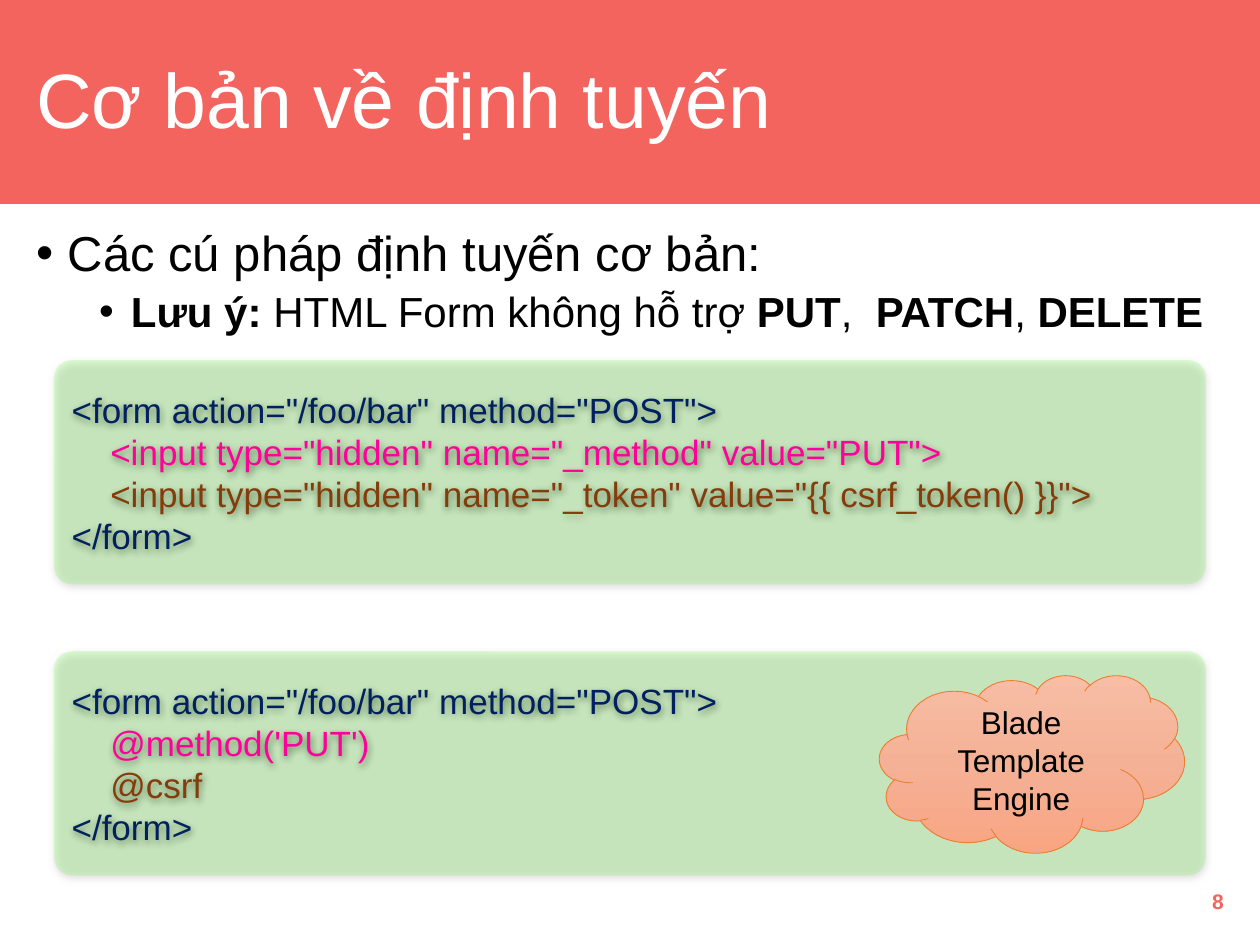
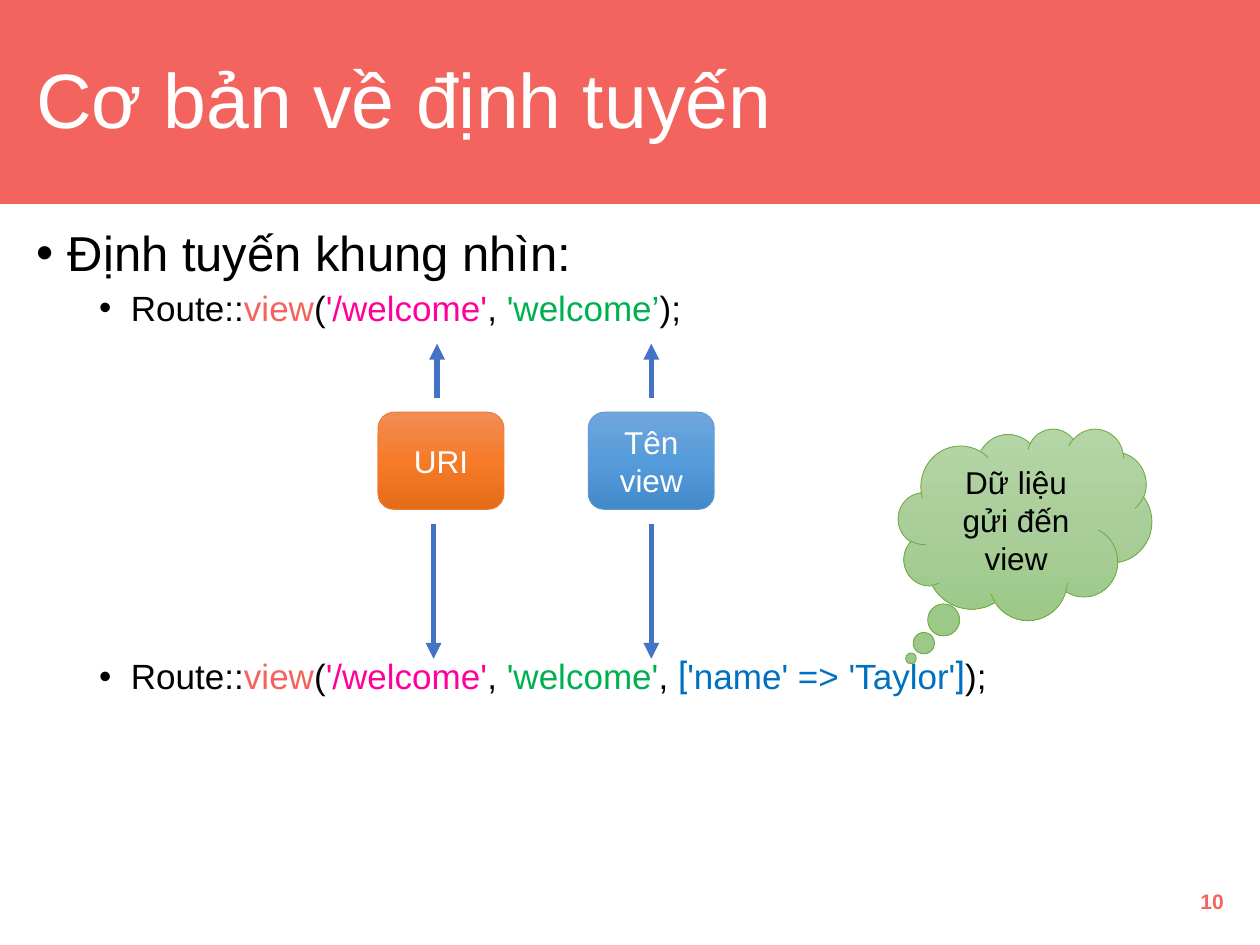
from lxml import etree
from pptx import Presentation
from pptx.dml.color import RGBColor
from pptx.enum.shapes import MSO_CONNECTOR, MSO_SHAPE
from pptx.enum.text import MSO_ANCHOR, MSO_AUTO_SIZE, PP_ALIGN
from pptx.oxml.ns import qn
from pptx.util import Cm, Pt

RECT, ROUND = MSO_SHAPE.RECTANGLE, MSO_SHAPE.ROUNDED_RECTANGLE
CLOUD, THINK = MSO_SHAPE.CLOUD, MSO_SHAPE.CLOUD_CALLOUT
LINE = MSO_CONNECTOR.STRAIGHT
LEFT, MID, RIGHT = PP_ALIGN.LEFT, PP_ALIGN.CENTER, PP_ALIGN.RIGHT
TOP, CENTER = MSO_ANCHOR.TOP, MSO_ANCHOR.MIDDLE

HUES = {
    "coral": "F4645F", "white": "FFFFFF", "black": "000000",
    "navy": "002060", "pink": "FF009A", "brown": "843C0B",
    "green": "00B050", "blue": "0070C0", "lime": "66FF33",
    "arrow": "4472C4", "orange": "ED7D31", "sky": "5B9BD5", "leaf": "70AD47",
}
PEACH = ("F7BDA5", "F5B196", "F8A582")
FLAME = ("F18C57", "F67B28", "E56C19")
OCEAN = ("71A6DB", "559BDB", "448ACA")
MOSS = ("B5D5A7", "AACE9A", "9CC987")
FONT = "Arial"
WIDE, HIGH = 25.4, 19.05
EDGE, SPAN = 0.48, 24.46


def rgb(name):
    return RGBColor.from_string(HUES[name])


def node(parent, tag, **attrs):
    """Append an XML child such as a:gs and return it."""
    item = etree.SubElement(parent, qn(tag))
    for key, value in attrs.items():
        item.set(key, str(value))
    return item


def write(frame, paras, size=18, hue="black", align=LEFT, anchor=CENTER, lead=None):
    """Fill a frame; each paragraph is a dict with runs of (text, hue, bold, font)."""
    frame.word_wrap = True
    frame.auto_size = MSO_AUTO_SIZE.NONE
    frame.vertical_anchor = anchor
    for i, para in enumerate(paras):
        line = frame.paragraphs[0] if i == 0 else frame.add_paragraph()
        line.alignment = align
        line.line_spacing = lead
        line.space_before = Pt(para.get("gap", 0))
        props = line._p.get_or_add_pPr()
        props.set("marL", str(Cm(para.get("left", 0))))
        props.set("indent", "0")
        if para.get("dot"):
            props.set("indent", str(Cm(-0.64)))
            node(props, "a:buFont", typeface=FONT)
            node(props, "a:buChar", char="•")
        for text, tint, bold, font in para["runs"]:
            run = line.add_run()
            run.text = text
            run.font.size = Pt(para.get("size", size))
            run.font.name = font or FONT
            run.font.bold = bold
            run.font.color.rgb = rgb(tint or hue)


def bit(text, hue=None, bold=False, font=None):
    return text, hue, bold, font


def plain(text, **form):
    return dict(runs=[bit(text)], **form)


class Deck:
    def __init__(self):
        self.prs = Presentation()
        self.prs.slide_width, self.prs.slide_height = Cm(WIDE), Cm(HIGH)
        self.base = self.prs.slide_layouts[5]
        self.page = None

    def start(self, title, number):
        first = self.page is None
        self.page = self.prs.slides.add_slide(self.base)
        if first:
            self.band()
        head = self.page.shapes.title
        head.left, head.top, head.width, head.height = map(Cm, (EDGE, 0.69, SPAN, 2.79))
        write(head.text_frame, [plain(title)], size=44, hue="white", lead=0.9)
        self.text(19.2, 17.65, 5.72, 1.02, [dict(runs=[bit(number, bold=True)])],
                  size=12, hue="coral", align=RIGHT)

    def band(self):
        """Put the title band on the layout, behind the title."""
        band = self.shape(RECT, 0, 0, WIDE, 4.09)
        band.fill.solid()
        band.fill.fore_color.rgb = rgb("coral")
        self.edge(band, "coral", 1)
        item = band._element
        item.nvSpPr.cNvPr.set("id", "20")
        self.base.shapes._spTree.insert(2, item)

    def shape(self, kind, x, y, w, h):
        form = self.page.shapes.add_shape(kind, Cm(x), Cm(y), Cm(w), Cm(h))
        form.shadow.inherit = False
        return form

    def edge(self, form, hue, width):
        form.line.color.rgb = rgb(hue)
        form.line.width = Pt(width)

    def text(self, x, y, w, h, paras, **form):
        box = self.page.shapes.add_textbox(Cm(x), Cm(y), Cm(w), Cm(h))
        write(box.text_frame, paras, **form)

    def list(self, head, *items):
        """Body text: a heading bullet, then second-level bullets."""
        paras = [plain(head, left=0.64, dot=True, gap=10, size=28)]
        paras += [dict(left=1.91, dot=True, **{"gap": 5, **item}) for item in items]
        self.text(EDGE, 4.5, SPAN, 12.65, paras, anchor=TOP, lead=0.9)

    def code(self, y, *inner):
        """Card with a form tag around two indented lines."""
        card = self.shape(ROUND, 1.09, y, 23.22, 4.52)
        card.adjustments[0] = 0.08
        card.line.fill.background()
        card.fill.solid()
        card.fill.fore_color.rgb = rgb("lime")
        props = card._element.spPr
        node(props.find(".//" + qn("a:srgbClr")), "a:alpha", val=20000)
        cast = node(props.find(qn("a:effectLst")), "a:outerShdw", blurRad=Pt(4.5),
                    dist=Pt(1.5), dir=5400000, algn="ctr", rotWithShape=0)
        node(node(cast, "a:srgbClr", val=HUES["black"]), "a:alpha", val=63000)
        lines = [dict(runs=[bit(text, hue)], left=0.78)
                 for text, hue in zip(inner, ("pink", "brown"))]
        write(card.text_frame, [plain('<form action="/foo/bar" method="POST">'),
                                *lines, plain("</form>")], size=20, hue="navy")

    def label(self, kind, x, y, w, h, text, shades, rim, hue="white"):
        """Shape with a downward three-step gradient and centred text."""
        form = self.shape(kind, x, y, w, h)
        self.edge(form, rim, 0.5)
        props = form._element.spPr
        grad = node(props, "a:gradFill", rotWithShape=1)
        stops = node(grad, "a:gsLst")
        for i, shade in enumerate(shades):
            node(node(stops, "a:gs", pos=i * 50000), "a:srgbClr", val=shade)
        node(grad, "a:lin", ang=5400000, scaled=0)
        props.insert(2, grad)
        write(form.text_frame, [plain(text)], hue=hue, align=MID)
        return form

    def arrow(self, x, start, end):
        line = self.page.shapes.add_connector(LINE, Cm(x), Cm(start), Cm(x), Cm(end))
        self.edge(line, "arrow", 3)
        node(line.line._get_or_add_ln(), "a:tailEnd", type="triangle")
        node(line._element.spPr, "a:effectLst")


def route(name, *rest):
    """Runs of a Route::view call, coloured by part."""
    return [bit("Route::"), bit("view", "coral"), bit("("), bit("'/welcome'", "pink"),
            bit(", "), bit(name, "green"), *rest, bit(");")]


def main():
    deck = Deck()
    title = "Cơ bản về định tuyến"

    deck.start(title, "8")
    note = [bit("Lưu ý: ", bold=True), bit("HTML Form không hỗ trợ "),
            bit("PUT", bold=True), bit(",  "), bit("PATCH", bold=True),
            bit(","), bit(" DELETE", bold=True)]
    deck.list("Các cú pháp định tuyến cơ bản:", dict(runs=note, size=24))
    deck.code(7.26, '<input type="hidden" name="_method" value="PUT">',
              '<input type="hidden" name="_token" value="{{ csrf_token() }}">')
    deck.code(13.13, "@method('PUT')", "@csrf")
    deck.label(CLOUD, 17.73, 13.61, 6.15, 3.58, "Blade Template Engine",
               PEACH, "orange", "black")

    deck.start(title, "10")
    data = [bit(", "), bit("[", "blue", font="Roboto"),
            bit("'name' => 'Taylor'", "blue"), bit("]", "blue", font="Roboto")]
    deck.list("Định tuyến khung nhìn:",
              dict(runs=route("'welcome’"), size=20),
              dict(runs=route("'welcome'", *data), size=20, gap=189))
    deck.label(ROUND, 7.62, 8.31, 2.54, 1.96, "URI", FLAME, "orange")
    deck.label(ROUND, 11.86, 8.31, 2.54, 1.96, "Tên view", OCEAN, "sky")
    for down, up in ((8.74, 8.81), (13.13, 13.13)):
        deck.arrow(down, 10.57, 13.28)
        deck.arrow(up, 8.03, 6.93)
    think = deck.label(THINK, 18.11, 8.64, 5.11, 3.86, "Dữ liệu gửi đến view",
                       MOSS, "leaf", "black")
    think.adjustments[0], think.adjustments[1] = -0.45, 0.7

    deck.prs.save("out.pptx")


if __name__ == "__main__":
    main()
